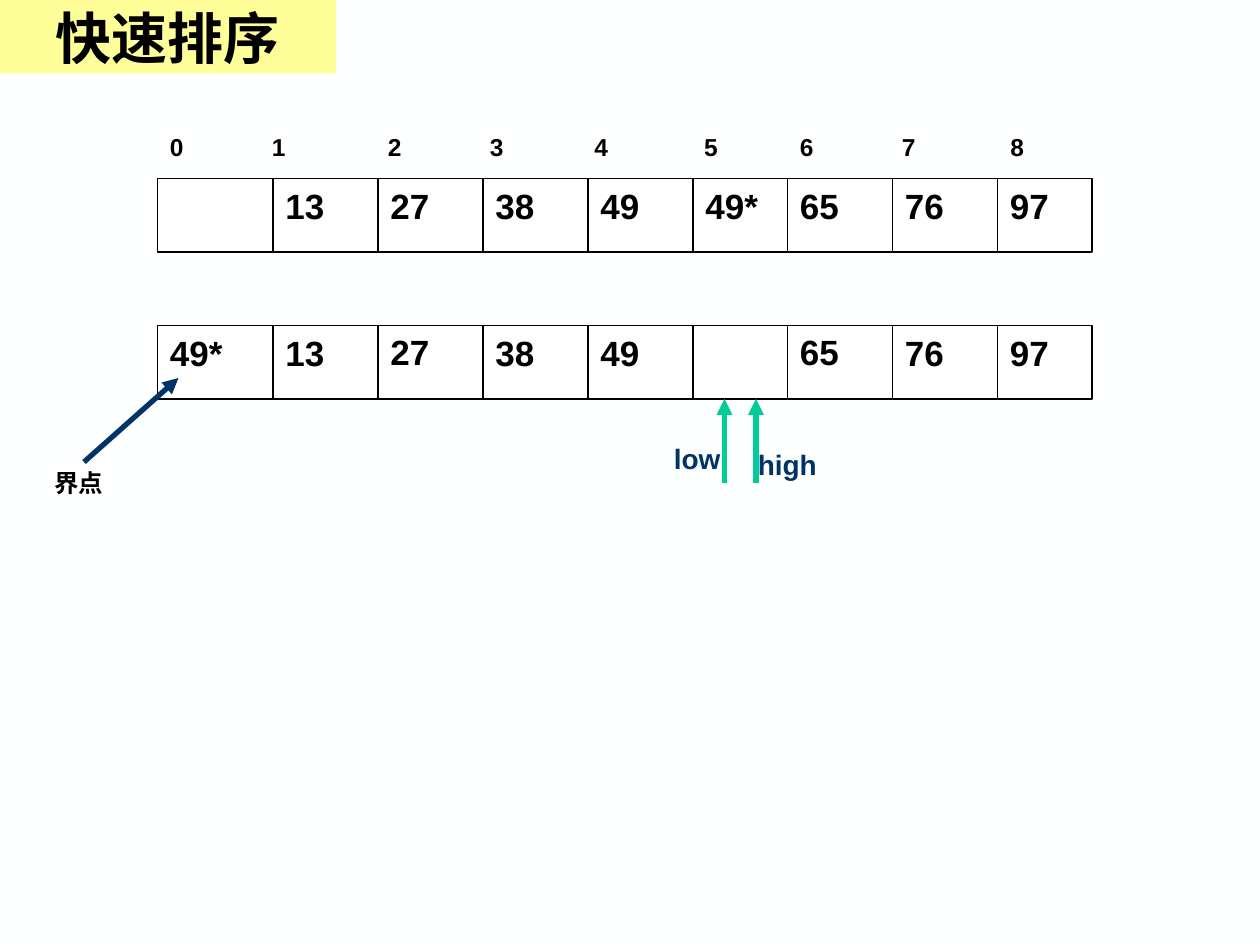
from lxml.etree import SubElement as Sub
from pptx import Presentation
from pptx.dml.color import RGBColor as Rgb
from pptx.enum.shapes import MSO_CONNECTOR as Link, MSO_SHAPE as Kind
from pptx.enum.text import MSO_ANCHOR as Anchor, MSO_AUTO_SIZE as Fit, PP_ALIGN as Align
from pptx.oxml.ns import qn
from pptx.util import Inches, Pt

COLORS = {"page": "FEFFFF", "white": "FFFFFF", "ink": "000000",
          "navy": "003366", "green": "00CC99", "yellow": "FFFF99"}
COLS, ROWS = 120, 90
EDGES = [15, 26, 36, 46, 56, 66, 75, 85, 95, 104]
TALL = 7
STOPS = [0.81, 1.73, 2.54, 3.37, 4.24, 5, 5.81, 6.67]


class Board:
    """Draws boxes, text and lines on a slide, measured in grid columns and rows."""

    def __init__(self, deck):
        self.slide = deck.slides.add_slide(deck.slide_layouts[6])
        self.shapes = self.slide.shapes
        self.wide, self.high = deck.slide_width / COLS, deck.slide_height / ROWS
        self.paint(self.slide.background.fill, "page")

    def place(self, x, y):
        return round(x * self.wide), round(y * self.high)

    def paint(self, fill, color):
        fill.solid()
        fill.fore_color.rgb = Rgb.from_string(COLORS[color])

    def letter(self, frame, text, size, color="ink", font="Arial"):
        run = frame.paragraphs[0].add_run()
        run.text = text
        style = {"size": Pt(size), "name": font, "bold": True}
        for key, value in style.items():
            setattr(run.font, key, value)
        run.font.color.rgb = Rgb.from_string(COLORS[color])

    def box(self, x, y, wide, high, color, edge=None):
        shape = self.shapes.add_shape(Kind.RECTANGLE, *self.place(x, y), *self.place(wide, high))
        shape.shadow.inherit = False
        self.paint(shape.fill, color)
        if edge:
            self.paint(shape.line.fill, edge)
            shape.line.width = Pt(0.75)
        else:
            shape.line.fill.background()
        return shape

    def label(self, x, y, wide, text, size, color="ink", stops=()):
        width, _ = self.place(wide, 0)
        shape = self.shapes.add_textbox(*self.place(x, y), width, Inches(size / 60 + 0.1))
        frame = shape.text_frame
        for key, value in {"word_wrap": True, "auto_size": Fit.SHAPE_TO_FIT_TEXT}.items():
            setattr(frame, key, value)
        if stops:
            tabs = Sub(frame.paragraphs[0]._p.get_or_add_pPr(), qn("a:tabLst"))
            for stop in stops:
                Sub(tabs, qn("a:tab"), pos=str(Inches(stop)), algn="l")
        self.letter(frame, text, size, color)

    def line(self, start, end, color="ink", width=0.75, arrow=False):
        line = self.shapes.add_connector(Link.STRAIGHT, *self.place(*start), *self.place(*end))
        self.paint(line.line.fill, color)
        line.line.width = Pt(width)
        if arrow:
            Sub(line.line._get_or_add_ln(), qn("a:tailEnd"), type="triangle")
        Sub(line._element.spPr, qn("a:effectLst"))

    def array(self, y, values, lifted=()):
        self.box(EDGES[0], y, EDGES[-1] - EDGES[0], TALL, "white", "ink")
        for x in EDGES[1:-1]:
            self.line((x, y), (x, y + TALL))
        for spot, (x, value) in enumerate(zip(EDGES, values)):
            if value:
                self.label(x, y - 0.16 * (spot in lifted), 8, value, 20)

    def title(self, text):
        frame = self.box(0, 0, 32, TALL, "yellow").text_frame
        frame.vertical_anchor = Anchor.MIDDLE
        frame.paragraphs[0].alignment = Align.CENTER
        self.letter(frame, text, 32, font="Times New Roman")


def main():
    deck = Presentation()
    deck.slide_width, deck.slide_height = Inches(10), Inches(7.5)
    board = Board(deck)
    keys = ["13", "27", "38", "49", "49*", "65", "76", "97"]
    board.array(31, ["49*", *keys[:4], "", *keys[5:]], lifted=(2, 6))
    board.array(17, ["", *keys])
    board.label(EDGES[0], 12, 89, "\t".join(map(str, range(9))), 14, stops=STOPS)
    for name, tip, x, y in [("high", 72, 71, 42), ("low", 69, 63, 41.5)]:
        board.line((tip, 46), (tip, 38), "green", 3, arrow=True)
        board.label(x, y, 11, name, 16, "navy")
    board.label(4, 44, 10, "界点", 14)
    board.line((8, 44), (17, 36), "navy", 3, arrow=True)
    board.title("快速排序")
    deck.save("out.pptx")


if __name__ == "__main__":
    main()
